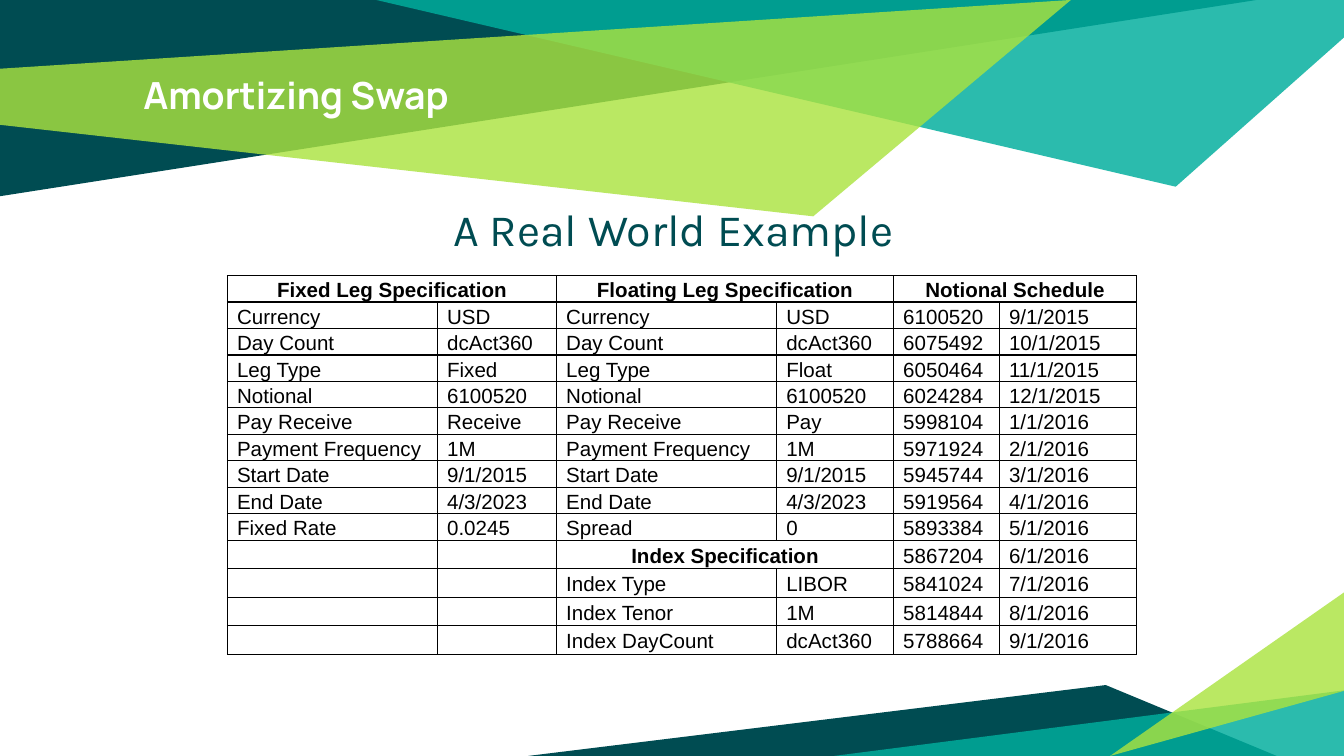
"""Build the amortizing swap slide with its specification table."""
import dataclasses
import typing

import pptx
import pptx.dml.color
import pptx.enum.text
import pptx.oxml
import pptx.oxml.ns
import pptx.util

Cm = pptx.util.Cm
Pt = pptx.util.Pt
ALIGN = pptx.enum.text.PP_ALIGN
ANCHOR = pptx.enum.text.MSO_ANCHOR
DARK, TEAL, LIME = "004C52", "00AE9D", "ABE33F"
WHITE, BLACK = "FFFFFF", "000000"
WIDTH, HEIGHT = 25.4, 14.29
COLUMN_WIDTHS = (3.97, 2.25, 4.16, 2.21, 2.0, 2.59)
HEADINGS = ("Fixed Leg Specification", "Floating Leg Specification", "Notional Schedule")
INDEX_HEADING = "Index Specification"
LABELS = ("Currency", "Day Count", "Leg Type", "Notional", "Pay Receive",
          "Payment Frequency", "Start Date", "End Date")
FIXED_VALUES = ("USD", "dcAct360", "Fixed", "6100520", "Receive", "1M",
                "9/1/2015", "4/3/2023")
FLOATING_VALUES = ("USD", "dcAct360", "Float", "6100520", "Pay", "1M",
                   "9/1/2015", "4/3/2023")
FIXED_LEG = [*zip(LABELS, FIXED_VALUES), ("Fixed Rate", "0.0245")] + [("", "")] * 4
FLOATING_LEG = [*zip(LABELS, FLOATING_VALUES), ("Spread", "0"), (INDEX_HEADING, ""),
                ("Index Type", "LIBOR"), ("Index Tenor", "1M"),
                ("Index DayCount", "dcAct360")]
SCHEDULE = [
    ("6100520", "9/1/2015"), ("6075492", "10/1/2015"), ("6050464", "11/1/2015"),
    ("6024284", "12/1/2015"), ("5998104", "1/1/2016"), ("5971924", "2/1/2016"),
    ("5945744", "3/1/2016"), ("5919564", "4/1/2016"), ("5893384", "5/1/2016"),
    ("5867204", "6/1/2016"), ("5841024", "7/1/2016"), ("5814844", "8/1/2016"),
    ("5788664", "9/1/2016"),
]


@dataclasses.dataclass(frozen=True)
class Facet:
    points: tuple[tuple[float, float], ...]
    color: str
    opacity: int = 100


@dataclasses.dataclass(frozen=True)
class TextStyle:
    font: str
    size: float
    color: str
    bold: bool = False


FACETS = (
    Facet(((0, 0), (0, 3.71), (23.75, 0)), DARK),
    Facet(((7.11, 0), (22.22, 3.53), (WIDTH, 0.71), (WIDTH, 0)), TEAL, 83),
    Facet(((0, 1.3), (0, 2.36), (15.37, 4.09), (20.24, 0)), LIME, 81),
    Facet(((9.98, HEIGHT), (24.13, HEIGHT), (20.9, 12.95)), DARK),
    Facet(((WIDTH, 13.05), (WIDTH, HEIGHT), (15.76, HEIGHT)), TEAL, 83),
    Facet(((WIDTH, 13.06), (WIDTH, 11.2), (20.98, HEIGHT)), LIME, 81),
)
TITLE_STYLE = TextStyle("Manrope", 20, WHITE, True)
BODY_STYLE = TextStyle("Karla", 24, DARK)
CELL_STYLE = TextStyle("Arial", 11, BLACK)
HEADING_STYLE = dataclasses.replace(CELL_STYLE, bold=True)


def rgb(color: str) -> pptx.dml.color.RGBColor:
    return pptx.dml.color.RGBColor.from_string(color)


def add_run(paragraph: typing.Any, text: str, style: TextStyle) -> None:
    run = paragraph.add_run()
    run.text = text
    run.font.name = style.font
    run.font.size = Pt(style.size)
    run.font.bold = style.bold
    run.font.color.rgb = rgb(style.color)


def draw_facet(slide: typing.Any, facet: Facet) -> None:
    points = [(Cm(x), Cm(y)) for x, y in facet.points]
    builder = slide.shapes.build_freeform(*points[0])
    builder.add_line_segments(points[1:], close=True)
    shape = builder.convert_to_shape()
    shape.shadow.inherit = False
    shape.fill.solid()
    shape.fill.fore_color.rgb = rgb(facet.color)
    shape.line.fill.background()
    if facet.opacity < 100:
        color = shape.element.spPr.find(".//" + pptx.oxml.ns.qn("a:srgbClr"))
        alpha = pptx.oxml.parse_xml(
            f'<a:alpha {pptx.oxml.ns.nsdecls("a")} val="{facet.opacity * 1000}"/>')
        color.append(alpha)
    slide.shapes.title.element.addprevious(shape.element)


def fill_placeholder(placeholder: typing.Any, box: tuple[float, ...], text: str,
                     style: TextStyle, alignment: typing.Any) -> typing.Any:
    placeholder.left, placeholder.top, placeholder.width, placeholder.height = map(Cm, box)
    frame = placeholder.text_frame
    frame.word_wrap = True
    frame.auto_size = pptx.enum.text.MSO_AUTO_SIZE.NONE
    frame.vertical_anchor = ANCHOR.TOP
    frame.margin_left = frame.margin_right = Cm(0.25)
    frame.margin_top = frame.margin_bottom = Cm(0.25)
    paragraph = frame.paragraphs[0]
    paragraph.alignment = alignment
    add_run(paragraph, text, style)
    return paragraph


def format_cell(cell: typing.Any) -> None:
    cell.margin_left = cell.margin_right = Cm(0.18)
    cell.margin_top = cell.margin_bottom = 0
    cell.vertical_anchor = ANCHOR.MIDDLE
    properties = cell._tc.get_or_add_tcPr()
    for side in "LRTB":
        properties.append(pptx.oxml.parse_xml(
            f'<a:ln{side} {pptx.oxml.ns.nsdecls("a")} w="{Pt(0.75)}">'
            f'<a:solidFill><a:srgbClr val="{BLACK}"/></a:solidFill></a:ln{side}>'))
    cell.fill.background()


def write_cell(cell: typing.Any, text: str, heading: bool) -> None:
    paragraph = cell.text_frame.paragraphs[0]
    if not text:
        paragraph._p.append(pptx.oxml.parse_xml(
            f'<a:endParaRPr {pptx.oxml.ns.nsdecls("a")} sz="{CELL_STYLE.size * 100}"/>'))
        return
    paragraph.line_spacing = 1.15
    paragraph.alignment = ALIGN.CENTER if heading else ALIGN.LEFT
    add_run(paragraph, text, HEADING_STYLE if heading else CELL_STYLE)


def draw_table(slide: typing.Any) -> None:
    rows = [tuple((heading, "") for heading in HEADINGS),
            *zip(FIXED_LEG, FLOATING_LEG, SCHEDULE)]
    heights = [0.5] * 10 + [0.54] * 4
    frame = slide.shapes.add_table(len(rows), len(COLUMN_WIDTHS), Cm(4.3), Cm(5.21),
                                   Cm(sum(COLUMN_WIDTHS)), Cm(sum(heights)))
    table = frame.table
    table.first_row = table.horz_banding = False
    for column, width in zip(table.columns, COLUMN_WIDTHS):
        column.width = Cm(width)
    for row_index, (pairs, height) in enumerate(zip(rows, heights)):
        table.rows[row_index].height = Cm(height)
        for pair_index, pair in enumerate(pairs):
            heading = pair[0] in (*HEADINGS, INDEX_HEADING)
            cells = [table.cell(row_index, pair_index * 2 + side) for side in (0, 1)]
            for cell, text in zip(cells, pair):
                format_cell(cell)
                write_cell(cell, text, heading)
            if heading:
                cells[0].merge(cells[1])
                cells[0].vertical_anchor = ANCHOR.MIDDLE if row_index else ANCHOR.TOP


def main() -> None:
    presentation = pptx.Presentation()
    presentation.slide_width = Cm(WIDTH)
    presentation.slide_height = Cm(HEIGHT)
    slide = presentation.slides.add_slide(presentation.slide_layouts[1])
    for facet in FACETS:
        draw_facet(slide, facet)
    fill_placeholder(slide.shapes.title, (2.46, 1.12, 20.47, 1.63),
                     "Amortizing Swap", TITLE_STYLE, ALIGN.LEFT)
    paragraph = fill_placeholder(slide.placeholders[1], (1.9, 3.56, 21.46, 10.39),
                                 "A Real World Example", BODY_STYLE, ALIGN.CENTER)
    paragraph.space_before = Pt(6)
    properties = paragraph._p.get_or_add_pPr()
    properties.set("marL", str(Cm(0.2)))
    properties.set("indent", "0")
    properties.append(pptx.oxml.parse_xml(f'<a:buNone {pptx.oxml.ns.nsdecls("a")}/>'))
    draw_table(slide)
    presentation.save("out.pptx")


if __name__ == "__main__":
    main()
